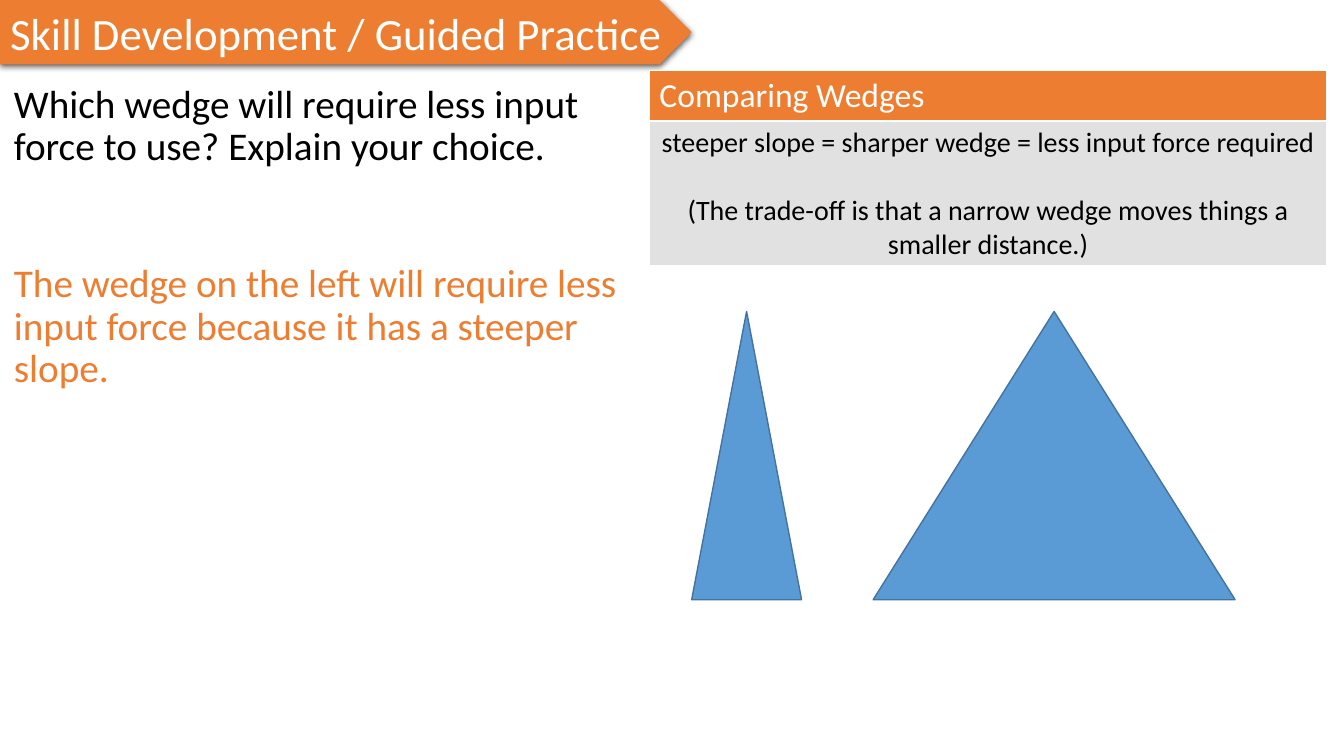
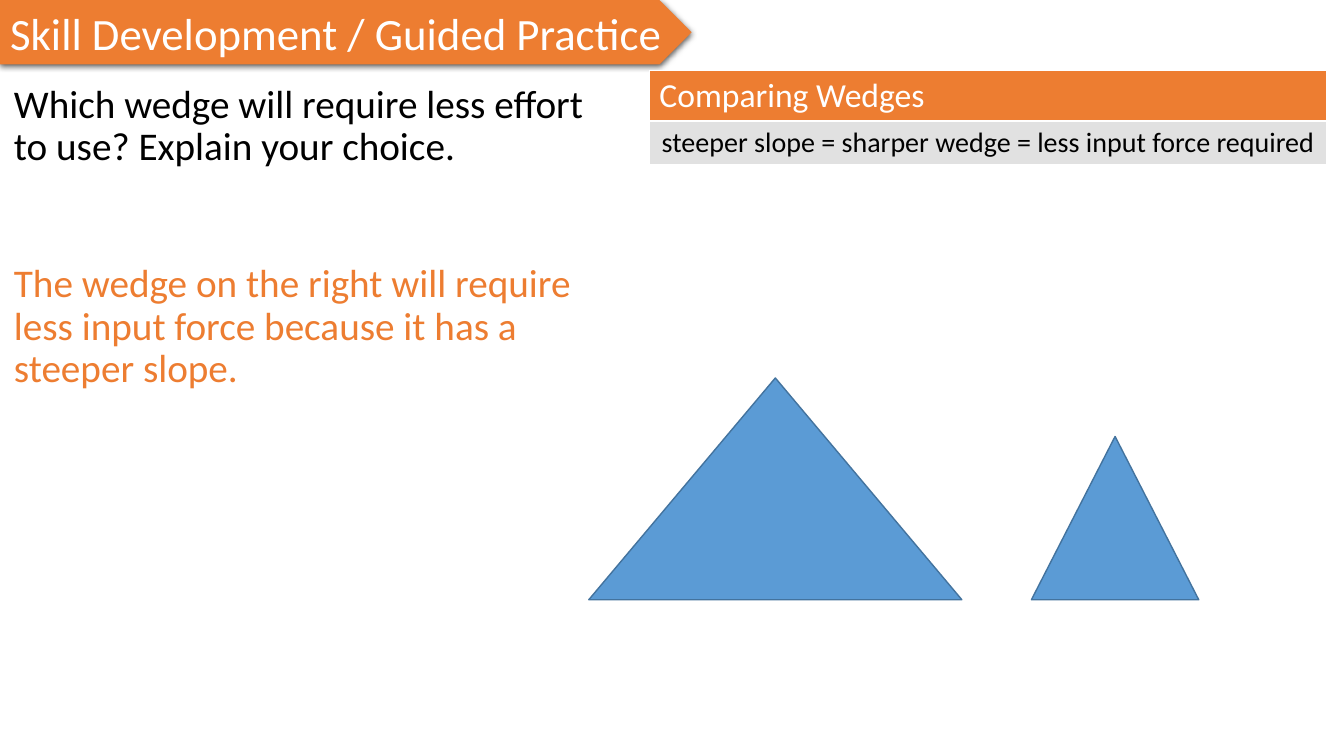
from pptx import Presentation
from pptx import util as u
from pptx.dml.color import RGBColor
from pptx.enum import shapes, text
from pptx.oxml import parse_xml
from pptx.oxml.ns import nsdecls, qn

ORANGE = RGBColor(0xED, 0x7D, 0x31)
BLUE = RGBColor(0x5B, 0x9B, 0xD5)
DARK_BLUE = RGBColor(0x43, 0x73, 0x9E)
GREY = RGBColor(0xE1, 0xE1, 0xE1)
WHITE = RGBColor(0xFF, 0xFF, 0xFF)
BLACK = RGBColor(0x00, 0x00, 0x00)

FONT = "Calibri"
TITLE = "Skill Development / Guided Practice"
RULE = "steeper slope = sharper wedge = less input force required"
TRADE_OFF = "(The trade-off is that a narrow wedge moves things a smaller distance.)"
BASELINE = 5.95


class Lesson:
    def __init__(self):
        self.deck = Presentation()
        self.deck.slide_width = u.Inches(13.33)
        self.deck.slide_height = u.Inches(7.5)
        self.page = None

    def new_page(self):
        self.page = self.deck.slides.add_slide(self.deck.slide_layouts[5])
        self.banner()

    def style(self, para, size, color, align=text.PP_ALIGN.LEFT):
        para.alignment = align
        para.font.name = FONT
        para.font.size = u.Pt(size)
        para.font.bold = False
        para.font.color.rgb = color

    def shape(self, kind, left, top, width, height, fill):
        shape = self.page.shapes.add_shape(
            kind, u.Inches(left), u.Inches(top), u.Inches(width), u.Inches(height))
        shape.shadow.inherit = False
        shape.fill.solid()
        shape.fill.fore_color.rgb = fill
        return shape

    def banner(self):
        band = self.shape(shapes.MSO_SHAPE.PENTAGON, 0, 0, 6.86, 0.64, ORANGE)
        band.line.fill.background()
        effects = band.element.spPr.find(qn("a:effectLst"))
        effects.append(parse_xml(
            f'<a:outerShdw {nsdecls("a")} blurRad="{u.Pt(4.5)}" dist="{u.Pt(1.5)}" '
            'dir="5400000" algn="ctr" rotWithShape="0">'
            '<a:srgbClr val="000000"><a:alpha val="63000"/></a:srgbClr></a:outerShdw>'))
        title = self.page.shapes.title
        title.element.addprevious(band.element)
        title.left, title.top, title.width, title.height = (
            band.left, band.top, band.width, band.height)
        frame = title.text_frame
        frame.text = TITLE
        frame.auto_size = text.MSO_AUTO_SIZE.NONE
        frame.vertical_anchor = text.MSO_ANCHOR.MIDDLE
        self.style(frame.paragraphs[0], 32, WHITE)

    def passage(self, top, height, words, color):
        box = self.page.shapes.add_textbox(
            u.Inches(0.04), u.Inches(top), u.Inches(6.2), u.Inches(height))
        frame = box.text_frame
        frame.word_wrap = True
        frame.text = words
        para = frame.paragraphs[0]
        para.line_spacing = 0.9
        self.style(para, 28, color)

    def wedge(self, left, width, height):
        wedge = self.shape(shapes.MSO_SHAPE.ISOSCELES_TRIANGLE,
                           left, BASELINE - height, width, height, BLUE)
        wedge.line.color.rgb = DARK_BLUE
        wedge.line.width = u.Pt(1)

    def cell(self, cell, lines, size, color, fill, align):
        properties = cell._tc.get_or_add_tcPr()
        for side in "LRTB":
            properties.append(parse_xml(
                f'<a:ln{side} {nsdecls("a")} w="{u.Pt(1)}"><a:solidFill>'
                f'<a:srgbClr val="{WHITE}"/></a:solidFill></a:ln{side}>'))
        cell.fill.solid()
        cell.fill.fore_color.rgb = fill
        cell.text = "\n".join(lines)
        for index, para in enumerate(cell.text_frame.paragraphs):
            if index:
                para.space_before = u.Pt(24)
            self.style(para, size, color, align)

    def comparison(self, lines, height):
        header = 0.5
        table = self.page.shapes.add_table(
            2, 1, u.Inches(6.44), u.Inches(0.7), u.Inches(6.72), u.Inches(height)).table
        table.rows[0].height = u.Inches(header)
        table.rows[1].height = u.Inches(height - header)
        self.cell(table.cell(0, 0), ["Comparing Wedges"], 24, WHITE, ORANGE,
                  text.PP_ALIGN.LEFT)
        self.cell(table.cell(1, 0), lines, 20, BLACK, GREY, text.PP_ALIGN.CENTER)

    def practice(self, question, answer, lines, table_height, wedges):
        self.new_page()
        self.passage(0.79, 1.53, question, BLACK)
        self.comparison(lines, table_height)
        self.passage(2.57, 2.45, answer, ORANGE)
        for wedge in wedges:
            self.wedge(*wedge)


def main():
    lesson = Lesson()
    lesson.practice(
        "Which wedge will require less input force to use? Explain your choice.",
        "The wedge on the left will require less input force because it has a steeper slope.",
        [RULE, TRADE_OFF], 1.93,
        [(6.86, 1.09, 2.86), (8.66, 3.59, 2.86)])
    lesson.practice(
        "Which wedge will require less effort to use? Explain your choice.",
        "The wedge on the right will require less input force because it has a steeper slope.",
        [RULE], 0.93,
        [(5.84, 3.7, 2.2), (10.23, 1.66, 1.62)])
    lesson.deck.save("out.pptx")


if __name__ == "__main__":
    main()
